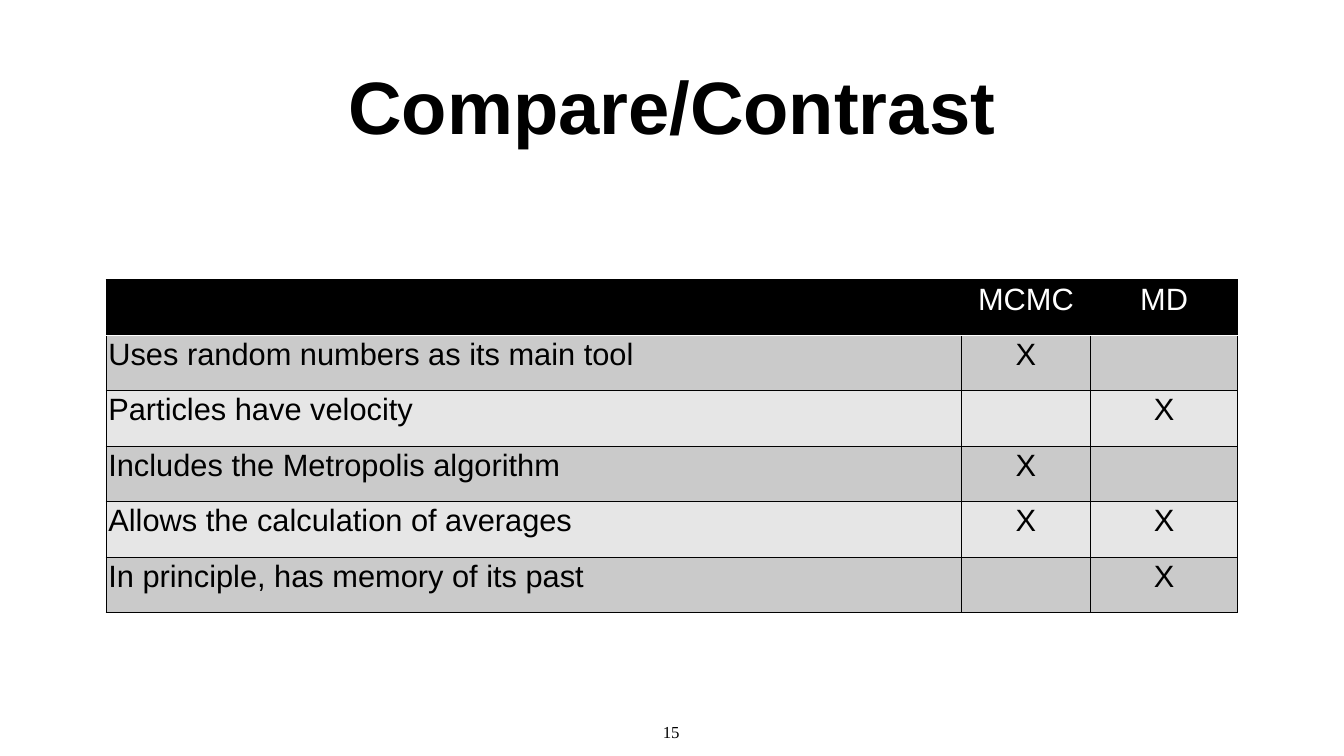
from dataclasses import dataclass

from lxml import etree
from pptx import Presentation
from pptx.dml.color import RGBColor
from pptx.enum.text import MSO_ANCHOR, PP_ALIGN
from pptx.oxml.ns import qn
from pptx.util import Emu, Pt

LEFT, CENTER = PP_ALIGN.LEFT, PP_ALIGN.CENTER
TOP, MIDDLE = MSO_ANCHOR.TOP, MSO_ANCHOR.MIDDLE
SCALE = 9144  # EMU per px, 100 px to the inch
BLACK, WHITE = "000000", "FFFFFF"
BANDS = ("CACACA", "E6E6E6")

COLS = (1698, 256, 292)
ROW_H = 110
ROWS = (
    ("", "MCMC", "MD"),
    ("Uses random numbers as its main tool", "X", ""),
    ("Particles have velocity", "", "X"),
    ("Includes the Metropolis algorithm", "X", ""),
    ("Allows the calculation of averages", "X", "X"),
    ("In principle, has memory of its past", "", "X"),
)


@dataclass
class Label:
    text: str
    box: tuple[int, int, int, int]
    size: int
    font: str
    bold: bool = False
    wrap: bool = True
    anchor: MSO_ANCHOR = TOP


LABELS = (
    Label("Compare/Contrast", (69, 69, 2528, 278), 106, "Arial",
          bold=True, anchor=MIDDLE),
    Label("15", (1305, 1423, 54, 56), 24, "Times New Roman", wrap=False),
)


def px(n: int) -> Emu:
    return Emu(n * SCALE)


def color(code: str) -> RGBColor:
    return RGBColor.from_string(code)


def style(para, size: int, font: str, code: str, align: PP_ALIGN,
          bold: bool = False) -> None:
    para.alignment = align
    para.font.size = Pt(size)
    para.font.name = font
    para.font.bold = bold
    para.font.color.rgb = color(code)


def set_pad(item, pad: int) -> None:
    """Give a cell or text frame the same margin on all sides."""
    item.margin_left = item.margin_right = px(pad)
    item.margin_top = item.margin_bottom = px(pad)


def add_label(slide, label: Label) -> None:
    frame = slide.shapes.add_textbox(*map(px, label.box)).text_frame
    frame.word_wrap = label.wrap
    frame.vertical_anchor = label.anchor
    set_pad(frame, 8)
    frame.text = label.text
    style(frame.paragraphs[0], label.size, label.font, BLACK, CENTER, label.bold)


def add_edge(cell, side: str, code: str, width: int) -> None:
    props = cell._tc.get_or_add_tcPr()
    line = etree.SubElement(props, qn(f"a:ln{side}"), w=str(Pt(width)))
    fill = etree.SubElement(line, qn("a:solidFill"))
    etree.SubElement(fill, qn("a:srgbClr"), val=code)


def fill_cell(cell, text: str, row: int, col: int) -> None:
    head = row == 0
    set_pad(cell, 5)
    for side in "LRTB":
        rule = (side, row) in (("B", 0), ("T", 1))  # line under the header
        add_edge(cell, side, WHITE if rule else BLACK, 2 if rule else 1)
    cell.fill.solid()
    cell.fill.fore_color.rgb = color(BLACK if head else BANDS[(row - 1) % 2])
    cell.text = text
    style(cell.text_frame.paragraphs[0], 44, "Arial",
          WHITE if head else BLACK, CENTER if col else LEFT)


def add_grid(slide) -> None:
    box = (210, 555, sum(COLS), ROW_H * len(ROWS))
    table = slide.shapes.add_table(len(ROWS), len(COLS), *map(px, box)).table
    for col, width in zip(table.columns, COLS):
        col.width = px(width)
    for r, texts in enumerate(ROWS):
        table.rows[r].height = px(ROW_H)
        for c, text in enumerate(texts):
            fill_cell(table.cell(r, c), text, r, c)
            if r == 0:
                table.cell(r, c).text_frame.paragraphs[0].font.bold = False


def main() -> None:
    deck = Presentation()
    deck.slide_width, deck.slide_height = px(2667), px(1500)
    slide = deck.slides.add_slide(deck.slide_layouts[6])
    for label in LABELS:
        add_label(slide, label)
    add_grid(slide)
    deck.save("out.pptx")


if __name__ == "__main__":
    main()
